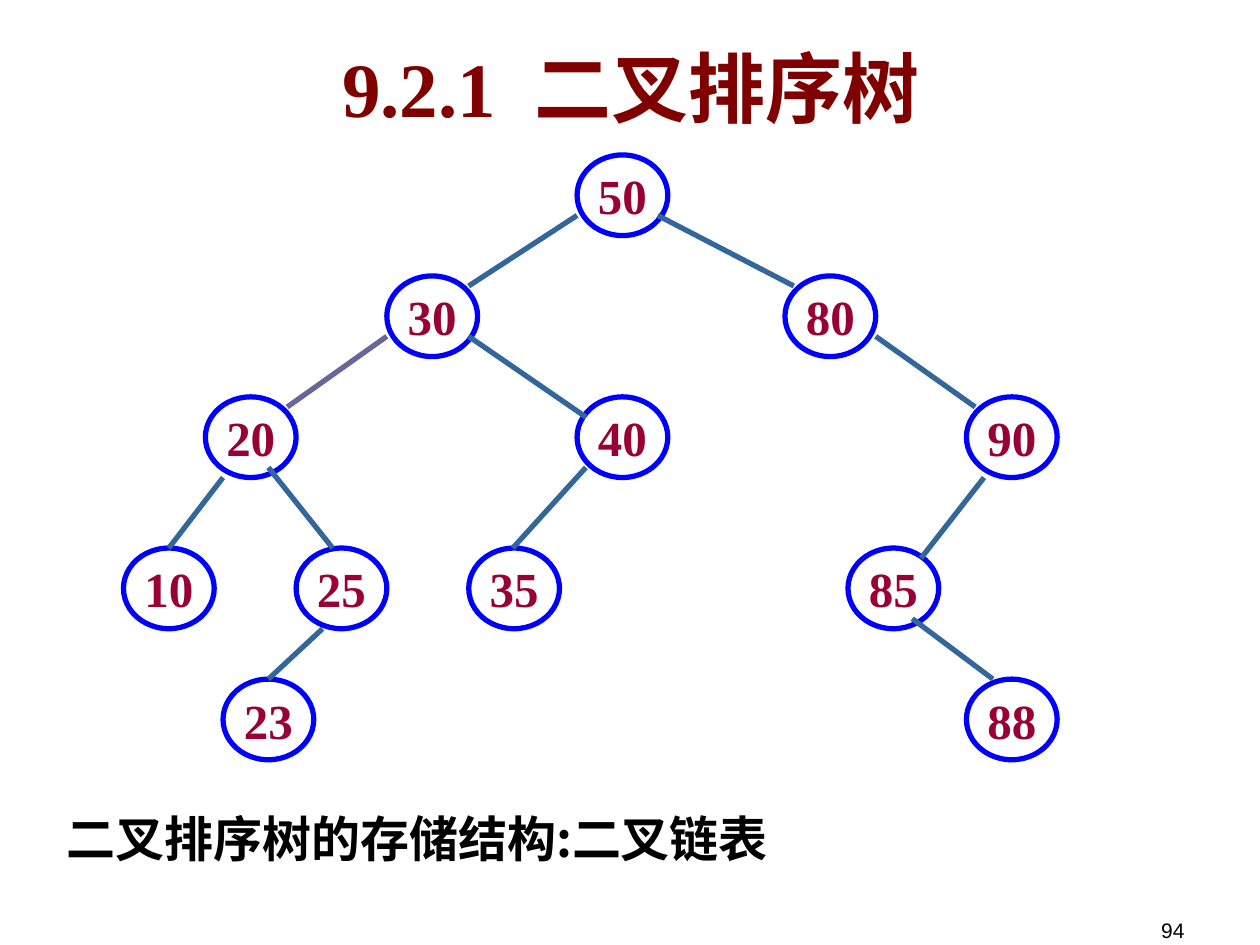
from dataclasses import dataclass
from typing import NamedTuple

from lxml.etree import SubElement
from pptx import Presentation
from pptx.dml.color import RGBColor
from pptx.enum.shapes import MSO_CONNECTOR, MSO_SHAPE
from pptx.enum.text import MSO_ANCHOR, MSO_AUTO_SIZE, PP_ALIGN
from pptx.oxml.ns import qn
from pptx.util import Inches, Pt


@dataclass(frozen=True)
class Theme:
    """Colours, fonts and type sizes of the slide."""
    title: str = "800000"
    key: str = "990033"
    ring: str = "0000FF"
    edge: str = "336699"
    pale: str = "666699"
    ink: str = "000000"
    serif: str = "Times New Roman"
    sans: str = "Arial"
    han: str = "Noto Sans CJK SC"
    head: int = 44
    text: int = 28
    small: int = 12
    line: int = 3


class Node(NamedTuple):
    """A tree node by key, left edge and level."""
    key: int
    left: float
    level: int


class Edge(NamedTuple):
    """A tree edge from parent to child."""
    x1: float
    y1: float
    x2: float
    y2: float
    color: str


THEME = Theme()
WIDE, HIGH = 0.72, 0.64
TOPS = (1.23, 2.19, 3.15, 4.35, 5.39)
NODES = (
    Node(50, 4.58, 0),
    Node(30, 3.07, 1), Node(80, 6.23, 1),
    Node(20, 1.63, 2), Node(40, 4.58, 2), Node(90, 7.67, 2),
    Node(10, 0.98, 3), Node(25, 2.35, 3), Node(35, 3.72, 3), Node(85, 6.73, 3),
    Node(23, 1.77, 4), Node(88, 7.67, 4),
)
EDGES = (
    Edge(4.58, 1.71, 3.72, 2.27, THEME.edge),
    Edge(5.22, 1.71, 6.3, 2.27, THEME.edge),
    Edge(3.07, 2.67, 2.28, 3.23, THEME.pale),
    Edge(3.72, 2.67, 4.65, 3.31, THEME.edge),
    Edge(6.95, 2.67, 7.74, 3.23, THEME.edge),
    Edge(1.77, 3.79, 1.34, 4.35, THEME.edge),
    Edge(2.13, 3.71, 2.64, 4.35, THEME.edge),
    Edge(4.65, 3.71, 4.07, 4.35, THEME.edge),
    Edge(7.81, 3.79, 7.31, 4.43, THEME.edge),
    Edge(2.56, 4.99, 2.13, 5.39, THEME.edge),
    Edge(7.24, 4.91, 7.88, 5.39, THEME.edge),
)


def place(shape, left: float, top: float, width: float, height: float) -> None:
    """Move and size a shape in inches."""
    shape.left, shape.top = Inches(left), Inches(top)
    shape.width, shape.height = Inches(width), Inches(height)


def add_run(para, text: str, size: int, face: str, color: str, bold: bool = True):
    """Add one styled run to a paragraph."""
    run = para.add_run()
    run.text = text
    font = run.font
    font.size, font.name, font.bold = Pt(size), face, bold
    font.color.rgb = RGBColor.from_string(color)
    SubElement(font._element, qn("a:ea")).set("typeface", THEME.han)
    return run


def draw_node(slide, node: Node) -> None:
    """Draw a ringed key."""
    ring = slide.shapes.add_shape(
        MSO_SHAPE.OVAL, Inches(node.left), Inches(TOPS[node.level]),
        Inches(WIDE), Inches(HIGH))
    ring.shadow.inherit = False
    ring.fill.background()
    ring.line.color.rgb = RGBColor.from_string(THEME.ring)
    ring.line.width = Pt(THEME.line)
    frame = ring.text_frame
    frame.word_wrap = False
    frame.vertical_anchor = MSO_ANCHOR.MIDDLE
    para = frame.paragraphs[0]
    para.alignment = PP_ALIGN.CENTER
    add_run(para, str(node.key), THEME.text, THEME.serif, THEME.key)


def draw_edge(slide, edge: Edge) -> None:
    """Draw a straight line between two nodes."""
    line = slide.shapes.add_connector(
        MSO_CONNECTOR.STRAIGHT, Inches(edge.x1), Inches(edge.y1),
        Inches(edge.x2), Inches(edge.y2))
    line.line.color.rgb = RGBColor.from_string(edge.color)
    line.line.width = Pt(THEME.line)
    SubElement(line._element.spPr, qn("a:effectLst"))


def draw_title(slide) -> None:
    """Fill the title, with a widened gap after the number."""
    title = slide.shapes.title
    place(title, 0.51, 0.13, 9, 1.12)
    title.text_frame.vertical_anchor = MSO_ANCHOR.MIDDLE
    para = title.text_frame.paragraphs[0]
    para.alignment = PP_ALIGN.CENTER
    look = (THEME.head, THEME.serif, THEME.title)
    add_run(para, "9.2.1", *look)
    add_run(para, " ", *look).font._element.set("spc", "1100")
    add_run(para, "二叉排序树", *look)


def draw_note(slide) -> None:
    """Fill the body with the storage note."""
    body = slide.placeholders[1]
    place(body, 0.43, 6.27, 6, 1.22)
    frame = body.text_frame
    frame.word_wrap = True
    frame.auto_size = MSO_AUTO_SIZE.NONE
    para = frame.paragraphs[0]
    props = para._p.get_or_add_pPr()
    props.set("marL", "0")
    props.set("indent", "0")
    SubElement(props, qn("a:buNone"))
    para.line_spacing, para.space_before = 1.2, Pt(0)
    add_run(para, "二叉排序树的存储结构:二叉链表", THEME.text, THEME.han, THEME.ink)


def draw_page(slide) -> None:
    """Write the page number."""
    box = slide.shapes.add_textbox(
        Inches(7.17), Inches(7.03), Inches(2.33), Inches(0.5))
    frame = box.text_frame
    frame.word_wrap = True
    frame.vertical_anchor = MSO_ANCHOR.BOTTOM
    para = frame.paragraphs[0]
    para.alignment = PP_ALIGN.RIGHT
    add_run(para, "94", THEME.small, THEME.sans, THEME.ink, False)


def main() -> None:
    """Build and save the slide."""
    deck = Presentation()
    deck.slide_width, deck.slide_height = Inches(10), Inches(7.5)
    slide = deck.slides.add_slide(deck.slide_layouts[1])
    draw_page(slide)
    for node in NODES:
        draw_node(slide, node)
    for edge in EDGES:
        draw_edge(slide, edge)
    draw_title(slide)
    draw_note(slide)
    deck.save("out.pptx")


if __name__ == "__main__":
    main()
